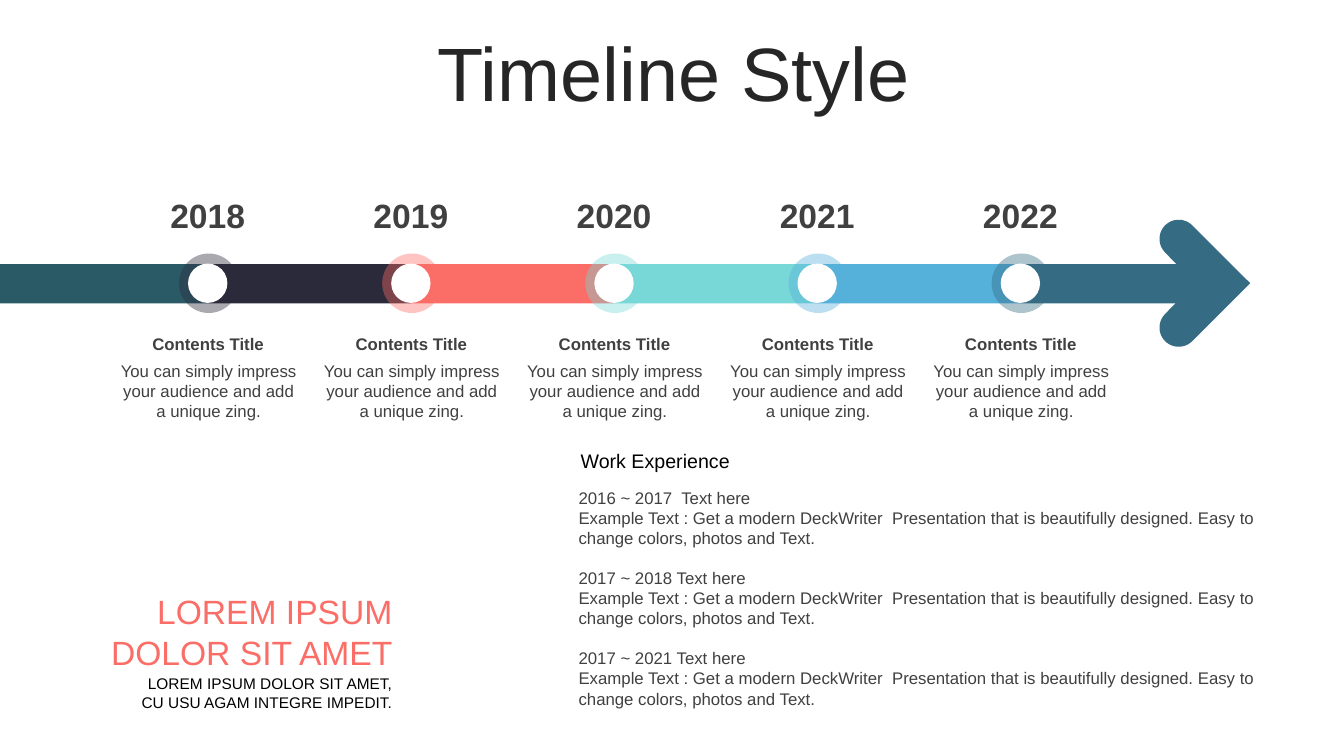
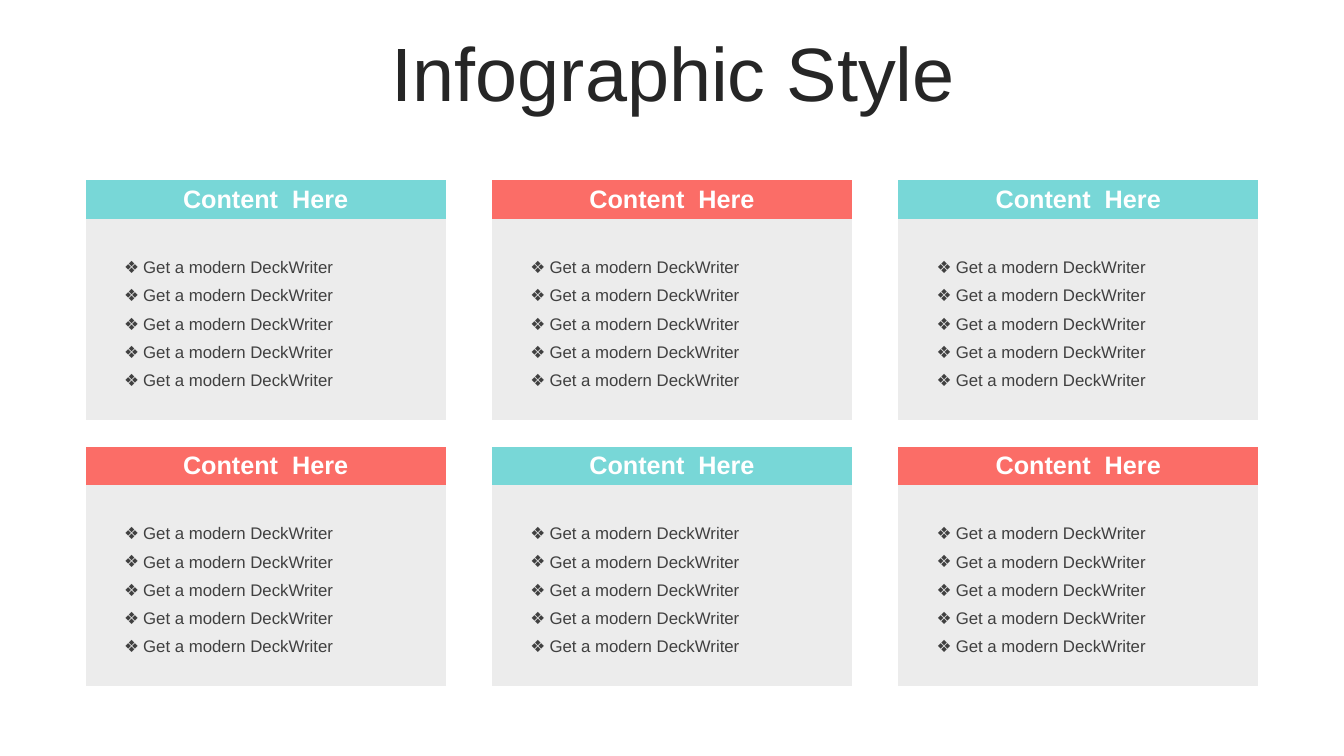
from dataclasses import dataclass
from math import cos, radians, sin

from pptx import Presentation
from pptx.dml.color import RGBColor
from pptx.enum.shapes import MSO_SHAPE
from pptx.enum.text import MSO_ANCHOR, MSO_AUTO_SIZE, PP_ALIGN
from pptx.oxml.ns import qn
from pptx.util import Inches, Pt
from lxml.etree import SubElement


@dataclass(frozen=True)
class Theme:
    font: str = "Arial"
    heading: str = "262626"
    text: str = "404040"
    black: str = "000000"
    white: str = "FFFFFF"
    panel: str = "ECECEC"
    pine: str = "2B5A67"
    ink: str = "2B2A3A"
    coral: str = "FB6D67"
    aqua: str = "78D7D7"
    sky: str = "55B0DA"
    steel: str = "356C84"
    title_size: int = 54
    large_size: int = 24
    header_size: int = 18
    subhead_size: int = 14
    body_size: int = 12
    small_size: int = 11


THEME = Theme()

# Content
TIMELINE_TITLE = "Timeline Style"
MILESTONE_TITLE = "Contents Title"
MILESTONE_TEXT = "You can simply impress your audience and add a unique zing."
MILESTONES = [
    ("2018", THEME.ink),
    ("2019", THEME.coral),
    ("2020", THEME.aqua),
    ("2021", THEME.sky),
    ("2022", THEME.steel),
]
SLOGAN = ["LOREM IPSUM", "DOLOR SIT AMET"]
SLOGAN_NOTE = ["LOREM IPSUM DOLOR SIT AMET,", "CU USU AGAM INTEGRE IMPEDIT."]
WORK_HEADING = "Work Experience"
WORK_PERIODS = ["2016 ~ 2017  Text here", "2017 ~ 2018 Text here", "2017 ~ 2021 Text here"]
WORK_TEXT = ("Example Text : Get a modern DeckWriter  Presentation that is "
             "beautifully designed. Easy to change colors, photos and Text.")

INFOGRAPHIC_TITLE = "Infographic Style"
CARD_HEADER = "Content  Here"
CARD_ITEMS = ["Get a modern DeckWriter"] * 5
CARD_COLORS = [
    [THEME.aqua, THEME.coral, THEME.aqua],
    [THEME.coral, THEME.aqua, THEME.coral],
]

# Layout, in inches
FIRST_CENTER, STEP = 2.06, 8.06 / 4
BAR_TOP, BAR_HEIGHT = 2.62, 0.39
AXIS = 2.81
RING, DOT = 0.59, 0.39
ARROW_TIP, ARROW_NOTCH = 12.4, 11.85
CAP_X, CAP_RISE, CAP_RADIUS = 11.69, 0.44, 0.19
CARD_LEFT, CARD_TOP, CARD_STEP_X, CARD_STEP_Y = 0.85, 1.79, 4.03, 2.64
CARD_COLUMNS = [0.28, 3.01, 0.28]
CARD_ROWS = [0.38, 0.5, 0.5, 0.5, 0.5]
NO_STYLE = "{2D5ABB26-0587-4C30-8999-92F81FD0307C}"


def color(value):
    return RGBColor.from_string(value)


def write(frame, lines, size=THEME.body_size, fill=THEME.text, bold=False,
          align=PP_ALIGN.LEFT, spacing=None, bullet=None, group=None, gap=0):
    """Fill a text frame; a gap precedes each group of lines after the first."""
    for index, line in enumerate(lines):
        para = frame.paragraphs[0] if index == 0 else frame.add_paragraph()
        para.alignment = align
        para.line_spacing = spacing
        starts_group = group and index and index % group == 0
        para.space_before = Pt(gap if starts_group else 0)
        if bullet:
            properties = para._p.get_or_add_pPr()
            properties.set("marL", str(Inches(0.19)))
            properties.set("indent", str(-Inches(0.19)))
            SubElement(properties, qn("a:buFont"), typeface=THEME.font)
            SubElement(properties, qn("a:buChar"), char=bullet)
        span = para.add_run()
        span.text = line
        span.font.name = THEME.font
        span.font.size = Pt(size)
        span.font.bold = bold
        span.font.color.rgb = color(fill)


def add_text(page, lines, left, top, width, height, anchor=MSO_ANCHOR.TOP, **style):
    box = page.shapes.add_textbox(Inches(left), Inches(top), Inches(width), Inches(height))
    box.text_frame.word_wrap = True
    box.text_frame.vertical_anchor = anchor
    write(box.text_frame, lines, **style)


def paint(shape, fill, alpha=None):
    shape.shadow.inherit = False
    shape.line.fill.background()
    shape.fill.solid()
    shape.fill.fore_color.rgb = color(fill)
    if alpha is not None:
        tint = shape._element.spPr.find(".//" + qn("a:srgbClr"))
        SubElement(tint, qn("a:alpha"), val=str(alpha * 1000))


def add_shape(page, kind, left, top, width, height, fill, alpha=None):
    shape = page.shapes.add_shape(kind, Inches(left), Inches(top), Inches(width), Inches(height))
    paint(shape, fill, alpha)


def add_circle(page, center, diameter, fill, alpha=None):
    add_shape(page, MSO_SHAPE.OVAL, center - diameter / 2, AXIS - diameter / 2,
              diameter, diameter, fill, alpha)


def add_arrowhead(page):
    def cap(center_y, start):
        angles = [radians(start + turn) for turn in range(0, 181, 6)]
        return [(CAP_X + CAP_RADIUS * cos(angle), center_y + CAP_RADIUS * sin(angle))
                for angle in angles]

    outline = (cap(AXIS + CAP_RISE, 45) + [(ARROW_NOTCH, AXIS)]
               + cap(AXIS - CAP_RISE, 135))
    builder = page.shapes.build_freeform(Inches(ARROW_TIP), Inches(AXIS))
    builder.add_line_segments([(Inches(x), Inches(y)) for x, y in outline], close=True)
    paint(builder.convert_to_shape(), THEME.steel)


def add_page(deck, layout, title):
    page = deck.slides.add_slide(layout)
    frame = page.shapes.title.text_frame
    frame.auto_size = MSO_AUTO_SIZE.NONE
    frame.vertical_anchor = MSO_ANCHOR.MIDDLE
    write(frame, [title], size=THEME.title_size, fill=THEME.heading,
          align=PP_ALIGN.CENTER, spacing=0.9)
    return page


def build_timeline(page):
    centers = [FIRST_CENTER + index * STEP for index in range(len(MILESTONES))]

    # Bars and arrowhead
    add_shape(page, MSO_SHAPE.RECTANGLE, 0, BAR_TOP, FIRST_CENTER,
              BAR_HEIGHT, THEME.pine)
    for center, (_, fill) in zip(centers, MILESTONES):
        add_shape(page, MSO_SHAPE.RECTANGLE, center, BAR_TOP, STEP, BAR_HEIGHT, fill)
    add_arrowhead(page)

    # Milestones
    for center, (year, fill) in zip(centers, MILESTONES):
        add_circle(page, center + 0.01, RING, fill, alpha=40)
        add_circle(page, center, DOT, THEME.white)
        add_text(page, [year], center - 0.74, 1.88, 1.48, 0.5,
                 size=THEME.large_size, bold=True, align=PP_ALIGN.CENTER)
        add_text(page, [MILESTONE_TITLE], center - 1, 3.26, 2.01, 0.3,
                 bold=True, align=PP_ALIGN.CENTER)
        add_text(page, [MILESTONE_TEXT], center - 0.99, 3.53, 2, 0.71,
                 align=PP_ALIGN.CENTER)

    # Slogan
    add_text(page, SLOGAN, 0.74, 5.81, 3.25, 0.91, anchor=MSO_ANCHOR.MIDDLE,
             size=THEME.large_size, fill=THEME.coral, align=PP_ALIGN.RIGHT)
    add_text(page, SLOGAN_NOTE, 0.74, 6.64, 3.25, 0.47, anchor=MSO_ANCHOR.MIDDLE,
             size=THEME.small_size, fill=THEME.black, align=PP_ALIGN.RIGHT)

    # Work experience
    add_text(page, [WORK_HEADING], 5.66, 4.4, 7.09, 0.34,
             size=THEME.subhead_size, fill=THEME.black)
    lines = [line for period in WORK_PERIODS for line in (period, WORK_TEXT)]
    add_text(page, lines, 5.64, 4.79, 7.13, 2.32, group=2, gap=14)


def add_card(page, left, top, fill):
    table = page.shapes.add_table(
        len(CARD_ROWS), len(CARD_COLUMNS), Inches(left), Inches(top),
        Inches(sum(CARD_COLUMNS)), Inches(sum(CARD_ROWS))).table
    table.first_row = table.horz_banding = False
    table._tbl.tblPr.find(qn("a:tableStyleId")).text = NO_STYLE
    for column, width in zip(table.columns, CARD_COLUMNS):
        column.width = Inches(width)
    for row_index, (row, height) in enumerate(zip(table.rows, CARD_ROWS)):
        row.height = Inches(height)
        for cell in row.cells:
            cell.fill.solid()
            cell.fill.fore_color.rgb = color(THEME.panel if row_index else fill)

    header, body = table.cell(0, 0), table.cell(1, 1)
    header.merge(table.cell(0, len(CARD_COLUMNS) - 1))
    body.merge(table.cell(len(CARD_ROWS) - 1, 1))
    header.vertical_anchor = body.vertical_anchor = MSO_ANCHOR.MIDDLE
    write(header.text_frame, [CARD_HEADER], size=THEME.header_size, fill=THEME.white,
          bold=True, align=PP_ALIGN.CENTER)
    write(body.text_frame, CARD_ITEMS, spacing=1.5, bullet="❖")


def build_infographic(page):
    for row, fills in enumerate(CARD_COLORS):
        for column, fill in enumerate(fills):
            add_card(page, CARD_LEFT + column * CARD_STEP_X,
                     CARD_TOP + row * CARD_STEP_Y, fill)


def main():
    deck = Presentation()
    deck.slide_width, deck.slide_height = Inches(13.33), Inches(7.5)

    # Shared title position
    layout = deck.slide_layouts.get_by_name("Title Only")
    title = layout.placeholders[0]
    title.left, title.top = Inches(0.35), Inches(0.37)
    title.width, title.height = Inches(12.66), Inches(0.79)

    build_timeline(add_page(deck, layout, TIMELINE_TITLE))
    build_infographic(add_page(deck, layout, INFOGRAPHIC_TITLE))
    deck.save("out.pptx")


if __name__ == "__main__":
    main()
